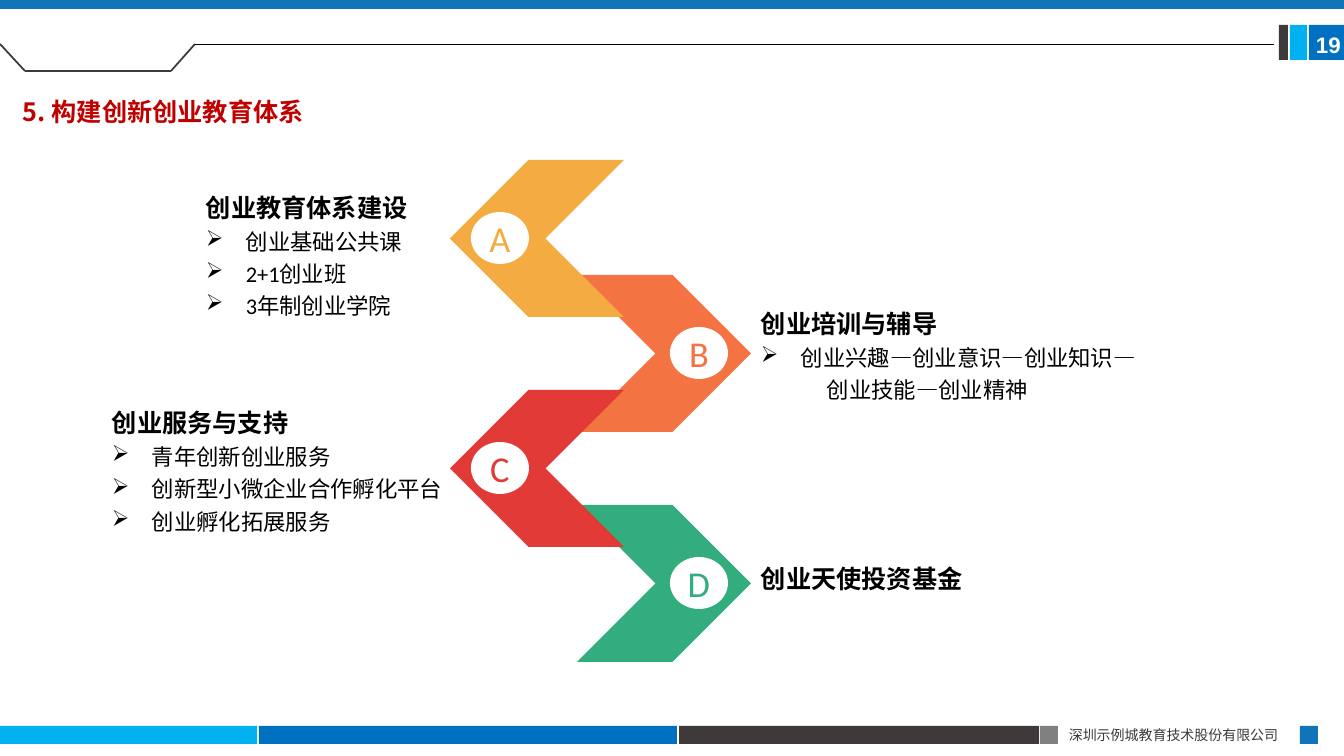
from dataclasses import dataclass

from lxml.etree import SubElement
from pptx import Presentation
from pptx.dml.color import RGBColor
from pptx.enum.shapes import MSO_CONNECTOR, MSO_SHAPE
from pptx.enum.text import MSO_ANCHOR, PP_ALIGN
from pptx.oxml.ns import qn
from pptx.util import Emu, Pt

EMU_PER_PX = 914400 / 100.8


@dataclass(frozen=True)
class Theme:
    black: str = "000000"
    white: str = "FFFFFF"
    dark: str = "3E3A39"
    gray: str = "808080"
    sky: str = "00B0F0"
    blue: str = "0070C0"
    bar_blue: str = "1074BB"
    title_red: str = "C00000"
    yellow: str = "F4AB42"
    orange: str = "F37342"
    red: str = "E23A37"
    green: str = "33AC7E"
    latin: str = "Calibri"
    number_font: str = "Arial"
    chinese: str = "Noto Sans CJK SC"
    footer_size: int = 10
    item_size: int = 16
    heading_size: int = 18
    letter_size: int = 26


THEME = Theme()
BULLET, CONTINUED = "bullet", "continued"


def px(length):
    return Emu(round(length * EMU_PER_PX))


def color(value):
    return RGBColor.from_string(value)


def add_block(slide, kind, box, fill):
    shape = slide.shapes.add_shape(kind, *map(px, box))
    shape.shadow.inherit = False
    shape.fill.solid()
    shape.fill.fore_color.rgb = color(fill)
    shape.line.fill.background()
    return shape


def add_line(slide, start, end, line_color, width):
    line = slide.shapes.add_connector(MSO_CONNECTOR.STRAIGHT, *map(px, start + end))
    line.line.color.rgb = color(line_color)
    line.line.width = Pt(width)
    SubElement(line._element.spPr, qn("a:effectLst"))


def format_runs(paragraph, size, text_color, latin, bold=False):
    for run in paragraph.runs:
        font = run.font
        font.size, font.bold, font.name = Pt(size), bold, latin
        font.color.rgb = color(text_color)
        SubElement(run._r.get_or_add_rPr(), qn("a:ea"), typeface=THEME.chinese)


def set_indent(paragraph, margin, first_line):
    properties = paragraph._p.get_or_add_pPr()
    properties.set("marL", str(px(margin)))
    properties.set("indent", str(px(first_line)))
    return properties


def add_text_box(slide, box, anchor=MSO_ANCHOR.TOP):
    frame = slide.shapes.add_textbox(*map(px, box)).text_frame
    frame.word_wrap = True
    frame.vertical_anchor = anchor
    return frame


def add_label(slide, box, text, size, text_color, font, bold=False):
    paragraph = add_text_box(slide, box).paragraphs[0]
    paragraph.text = text
    format_runs(paragraph, size, text_color, font, bold)
    return paragraph


def add_topic(slide, box, heading, items=()):
    frame = add_text_box(slide, box, MSO_ANCHOR.MIDDLE)
    paragraph = frame.paragraphs[0]
    paragraph.text = heading
    paragraph.line_spacing = 1.2
    format_runs(paragraph, THEME.heading_size, THEME.black, THEME.latin, bold=True)
    for kind, text in items:
        paragraph = frame.add_paragraph()
        paragraph.text = text
        paragraph.line_spacing = 1.2
        if kind == BULLET:
            SubElement(set_indent(paragraph, 40, -40), qn("a:buChar"), char="➢")
        else:
            set_indent(paragraph, 66, 0)
        format_runs(paragraph, THEME.item_size, THEME.black, THEME.latin)


def add_arrow(slide, letter, row, fill):
    points_left = row % 2 == 0
    top = 160 + 115 * row
    chevron = add_block(slide, MSO_SHAPE.CHEVRON,
                        (450 if points_left else 577, top, 174, 157), fill)
    chevron.adjustments[0] = 0.5
    if points_left:
        chevron._element.spPr.xfrm.set("flipH", "1")

    badge = add_block(slide, MSO_SHAPE.OVAL,
                      (471 if points_left else 670, top + 52, 58, 52), THEME.white)
    frame = badge.text_frame
    frame.margin_left = frame.margin_right = frame.margin_top = frame.margin_bottom = 0
    frame.vertical_anchor = MSO_ANCHOR.MIDDLE
    frame.text = letter
    frame.paragraphs[0].alignment = PP_ALIGN.CENTER
    format_runs(frame.paragraphs[0], THEME.letter_size, fill, THEME.latin)


def add_page_frame(slide):
    # Footer strip, page tabs and top bar
    for box, fill in (
        ((0, 726, 257, 18), THEME.sky),
        ((259, 726, 418, 18), THEME.blue),
        ((679, 726, 360, 18), THEME.dark),
        ((1040, 726, 18, 18), THEME.gray),
        ((1300, 726, 18, 18), THEME.bar_blue),
        ((1309, 25, 35, 35), THEME.blue),
        ((1290, 25, 17, 35), THEME.sky),
        ((1279, 25, 9, 35), THEME.dark),
        ((0, 0, 1344, 9), THEME.bar_blue),
    ):
        add_block(slide, MSO_SHAPE.RECTANGLE, box, fill)
    footer = add_label(slide, (1059, 722, 242, 27), "深圳示例城教育技术股份有限公司",
                       THEME.footer_size, THEME.dark, THEME.chinese)
    footer.alignment = PP_ALIGN.JUSTIFY

    # Header outline
    corners = [(0, 44), (25, 71), (171, 71), (195, 44)]
    for start, end in zip(corners, corners[1:]):
        add_line(slide, start, end, THEME.dark, 1.25)
    add_line(slide, corners[-1], (1274, 44), THEME.black, 0.5)


def main():
    presentation = Presentation()
    presentation.slide_width, presentation.slide_height = px(1344), px(756)
    slide = presentation.slides.add_slide(presentation.slide_layouts[6])
    add_page_frame(slide)

    # Title
    title = add_label(slide, (-26, 76, 392, 56), "5. 构建创新创业教育体系",
                      THEME.heading_size, THEME.title_red, THEME.chinese, bold=True)
    title.line_spacing = 1.5
    set_indent(title, 0, 39)

    # Zigzag of arrows, left-pointing ones in front
    for letter, row, fill in (("B", 1, THEME.orange), ("D", 3, THEME.green),
                              ("A", 0, THEME.yellow), ("C", 2, THEME.red)):
        add_arrow(slide, letter, row, fill)

    # Topics beside the arrows
    add_topic(slide, (196, 165, 285, 175), "创业教育体系建设", (
        (BULLET, "创业基础公共课"), (BULLET, "2+1创业班"), (BULLET, "3年制创业学院")))
    add_topic(slide, (102, 401, 401, 134), "创业服务与支持", (
        (BULLET, "青年创新创业服务"), (BULLET, "创新型小微企业合作孵化平台"),
        (BULLET, "创业孵化拓展服务")))
    add_topic(slide, (751, 286, 449, 134), "创业培训与辅导", (
        (BULLET, "创业兴趣—创业意识—创业知识—"), (CONTINUED, "创业技能—创业精神")))
    add_topic(slide, (751, 508, 224, 134), "创业天使投资基金")

    # Page number
    add_label(slide, (1306, 26, 50, 37), "19", THEME.item_size, THEME.white,
              THEME.number_font, bold=True)
    presentation.save("out.pptx")


if __name__ == "__main__":
    main()
